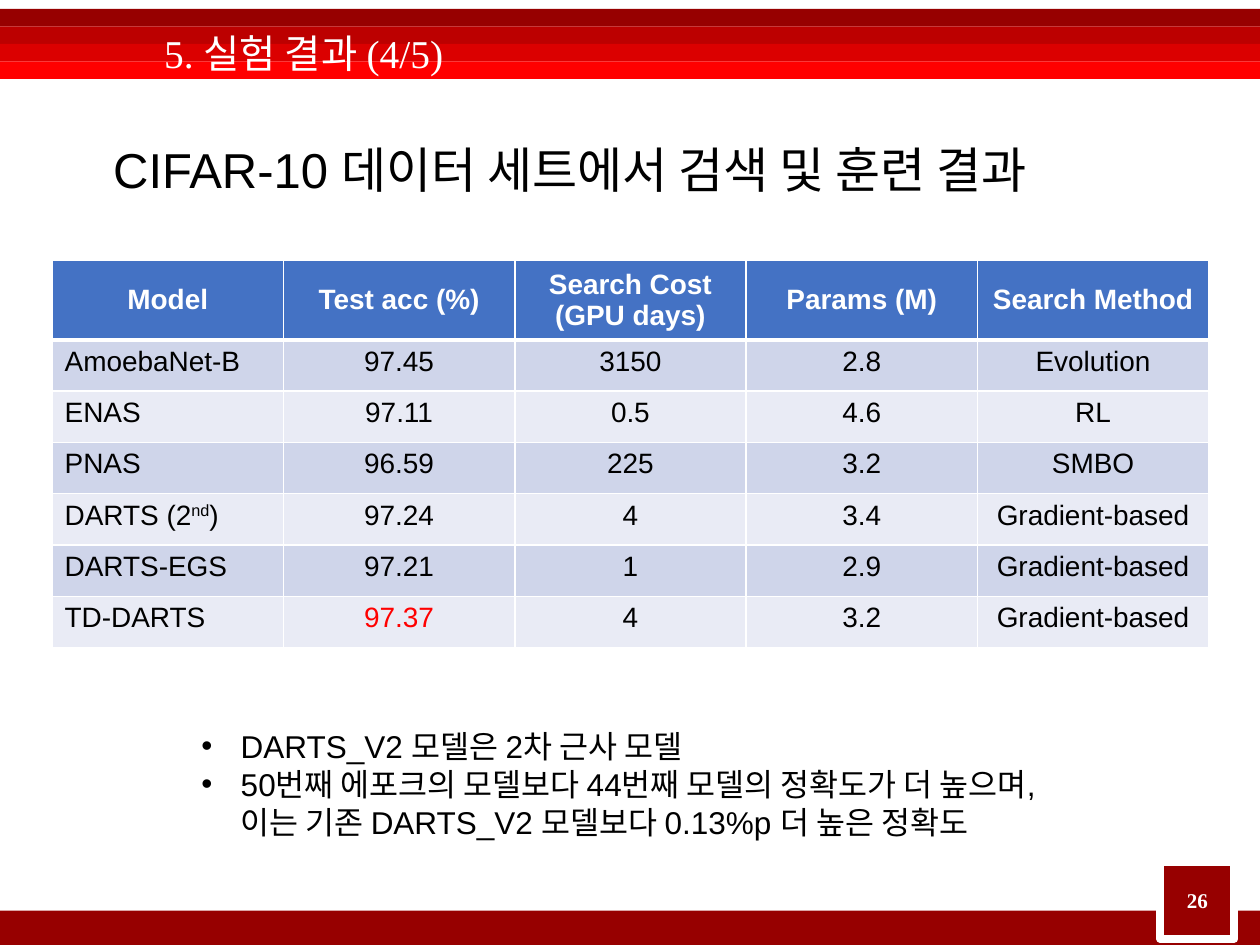
from dataclasses import dataclass

from lxml import etree
from pptx import Presentation
from pptx.dml.color import RGBColor
from pptx.enum.shapes import MSO_SHAPE
from pptx.enum.text import MSO_ANCHOR, PP_ALIGN
from pptx.oxml.ns import qn
from pptx.util import Pt

RECTANGLE = MSO_SHAPE.RECTANGLE
TOP, MIDDLE = MSO_ANCHOR.TOP, MSO_ANCHOR.MIDDLE
LEFT, CENTER = PP_ALIGN.LEFT, PP_ALIGN.CENTER
BLANK_LAYOUT = 6


@dataclass(frozen=True)
class Theme:
    sans: str = "Arial"
    serif: str = "Times New Roman"
    white: str = "FFFFFF"
    black: str = "000000"
    red: str = "FF0000"
    dark_red: str = "970000"
    bands: tuple = ("970000", "BC0000", "DB0000", "FF0000")
    header_fill: str = "4472C4"
    row_fills: tuple = ("CFD5EA", "E9EBF5")
    banner_size: float = 22.5
    heading_size: float = 28
    note_size: float = 18
    table_size: float = 16
    number_size: float = 12


THEME = Theme()

HEADERS = ["Model", "Test acc (%)", "Search Cost\n(GPU days)", "Params (M)", "Search Method"]
RESULTS = [
    ["AmoebaNet-B", "97.45", "3150", "2.8", "Evolution"],
    ["ENAS", "97.11", "0.5", "4.6", "RL"],
    ["PNAS", "96.59", "225", "3.2", "SMBO"],
    ["DARTS (2^nd^)", "97.24", "4", "3.4", "Gradient-based"],
    ["DARTS-EGS", "97.21", "1", "2.9", "Gradient-based"],
    ["TD-DARTS", "97.37", "4", "3.2", "Gradient-based"],
]
HIGHLIGHT = "97.37"
NOTES = (
    "DARTS_V2 모델은 2차 근사 모델\n"
    "50번째 에포크의 모델보다 44번째 모델의 정확도가 더 높으며, "
    "이는 기존 DARTS_V2 모델보다 0.13%p 더 높은 정확도"
)


def add_xml(parent, tag, **attributes):
    return etree.SubElement(parent, qn(tag), attributes)


def write_text(frame, text, *, size, color, font=THEME.sans, bold=False, align=LEFT,
               spacing=None, indent=None, bullet=None, shadow=False):
    """One paragraph per line; text between carets is superscript."""
    for index, line in enumerate(text.split("\n")):
        para = frame.add_paragraph() if index else frame.paragraphs[0]
        para.alignment = align
        if spacing:
            para.line_spacing = spacing
        if indent:
            properties = para._p.get_or_add_pPr()
            properties.set("marL", str(Pt(indent)))
            if bullet:
                properties.set("indent", str(-Pt(indent)))
                add_xml(properties, "a:buFont", typeface=THEME.sans)
                add_xml(properties, "a:buChar", char=bullet)
        for part, words in enumerate(line.split("^")):
            span = para.add_run()
            span.text = words
            span.font.size = Pt(size)
            span.font.bold = bold
            span.font.color.rgb = RGBColor.from_string(color)
            if part % 2:
                span.font._element.set("baseline", "30000")
            if shadow:
                effects = add_xml(span.font._element, "a:effectLst")
                outer = add_xml(effects, "a:outerShdw", blurRad="38100", dist="38100", dir="2700000")
                tint = add_xml(outer, "a:srgbClr", val=THEME.black)
                add_xml(tint, "a:alpha", val="43000")
            span.font.name = font


def add_text(page, box, text, *, anchor=TOP, **text_format):
    frame = page.shapes.add_textbox(*map(Pt, box)).text_frame
    frame.word_wrap = True
    frame.vertical_anchor = anchor
    write_text(frame, text, **text_format)
    return frame


def add_rectangle(page, box, fill, line_width=0):
    shape = page.shapes.add_shape(RECTANGLE, *map(Pt, box))
    shape.shadow.inherit = False
    shape.fill.solid()
    shape.fill.fore_color.rgb = RGBColor.from_string(fill)
    if line_width:
        shape.line.color.rgb = RGBColor.from_string(THEME.white)
        shape.line.width = Pt(line_width)
    else:
        shape.line.fill.background()


def add_banner(page, box):
    left, top, width, height = box
    band = height / len(THEME.bands)
    for index, color in enumerate(THEME.bands):
        add_rectangle(page, (left, top + index * band, width, band), color)
    frame = add_text(page, (left + 52, top + 0.7, 510, height), "5. 실험 결과 (4/5)",
                     anchor=MIDDLE, size=THEME.banner_size, color=THEME.white,
                     font=THEME.serif, spacing=1.3, indent=36, shadow=True)
    frame.margin_left = frame.margin_right = Pt(5.8)
    frame.margin_top = frame.margin_bottom = Pt(2.9)


def style_cell(cell, fill, bottom_width):
    # Borders come before the fill in the cell properties
    properties = cell._tc.get_or_add_tcPr()
    for side, width in (("L", 1), ("R", 1), ("T", 1), ("B", bottom_width)):
        border = add_xml(properties, f"a:ln{side}", w=str(Pt(width)))
        add_xml(add_xml(border, "a:solidFill"), "a:srgbClr", val=THEME.white)
    cell.fill.solid()
    cell.fill.fore_color.rgb = RGBColor.from_string(fill)


def add_results(page, box, header_height=44):
    rows = [HEADERS] + RESULTS
    table = page.shapes.add_table(len(rows), len(HEADERS), *map(Pt, box)).table
    for column in table.columns:
        column.width = Pt(box[2] / len(HEADERS))
    for row_index, values in enumerate(rows):
        header = row_index == 0
        body_height = (box[3] - header_height) / len(RESULTS)
        table.rows[row_index].height = Pt(header_height if header else body_height)
        fill = THEME.header_fill if header else THEME.row_fills[(row_index - 1) % 2]
        for column_index, value in enumerate(values):
            cell = table.cell(row_index, column_index)
            style_cell(cell, fill, 3 if header else 1)
            cell.vertical_anchor = MIDDLE if header else TOP
            color = THEME.white if header else THEME.red if value == HIGHLIGHT else THEME.black
            write_text(cell.text_frame, value, size=THEME.table_size, color=color, bold=header,
                       align=CENTER if header or column_index else LEFT)


def add_page_number(page, box, number):
    left, top, width, height = box
    add_rectangle(page, box, THEME.dark_red, line_width=4.5)
    add_text(page, (left + 5.7, top + 11, width - 11.4, height - 22), number, anchor=MIDDLE,
             size=THEME.number_size, color=THEME.white, font=THEME.serif, bold=True, align=CENTER)


def main():
    deck = Presentation()
    deck.slide_width, deck.slide_height = Pt(720), Pt(540)
    page = deck.slides.add_slide(deck.slide_layouts[BLANK_LAYOUT])

    # Banner and footer bar
    add_banner(page, (0, 5.1, 720, 40))
    add_rectangle(page, (0, 520.4, 720, 19.6), THEME.dark_red)

    # Results, heading and notes
    add_results(page, (29.8, 148.6, 661, 220))
    add_text(page, (57.6, 76.3, 624, 41), "CIFAR-10 데이터 세트에서 검색 및 훈련 결과",
             size=THEME.heading_size, color=THEME.black)
    add_text(page, (108, 412, 523.5, 94), NOTES, size=THEME.note_size, color=THEME.black,
             indent=22.5, bullet="•")

    # Page number
    add_page_number(page, (663, 492.5, 42.4, 44), "26")
    deck.save("out.pptx")


if __name__ == "__main__":
    main()
